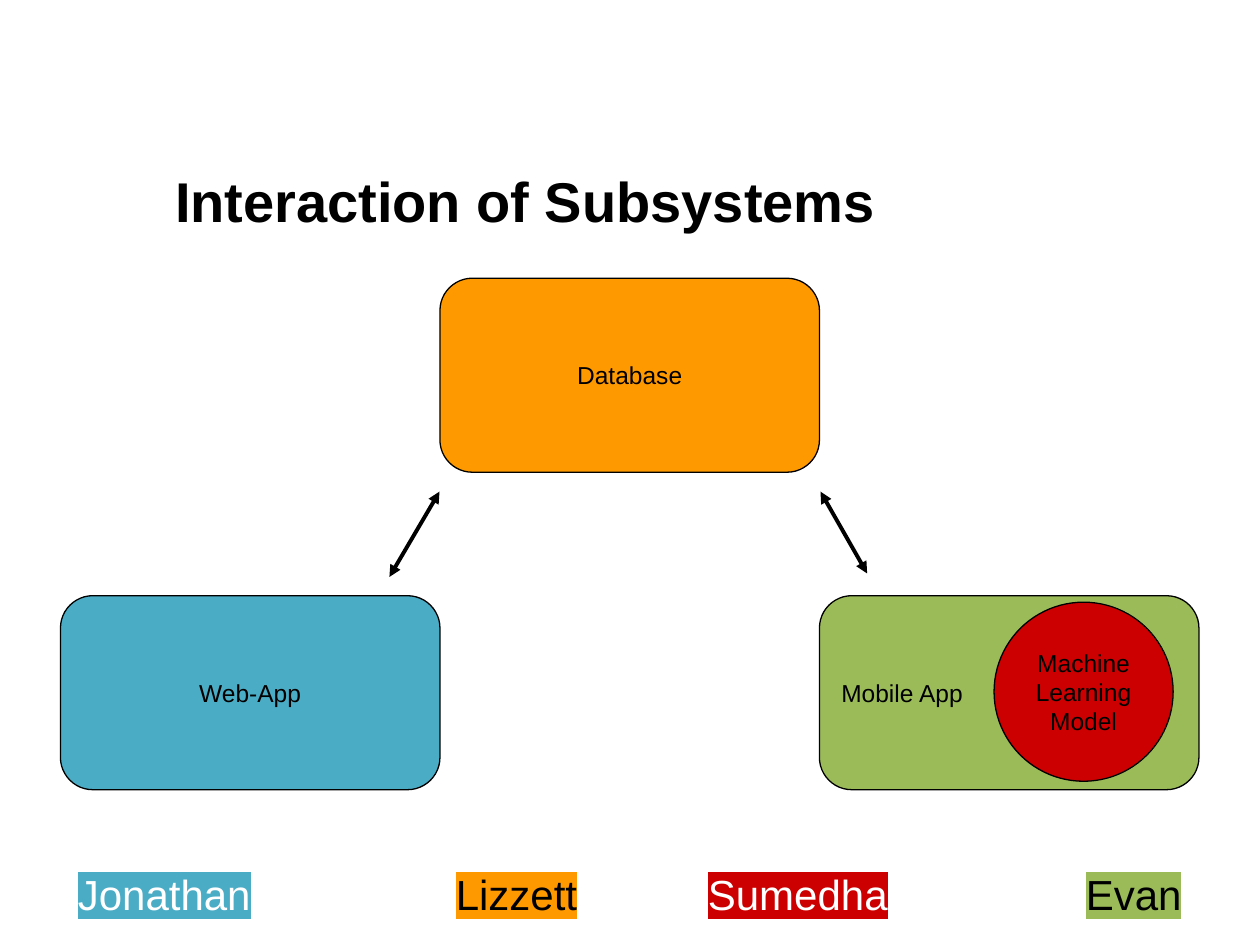
from lxml import etree
from pptx import Presentation
from pptx.dml.color import RGBColor
from pptx.enum.shapes import MSO_CONNECTOR, MSO_SHAPE
from pptx.enum.text import MSO_ANCHOR, PP_ALIGN
from pptx.oxml.ns import qn
from pptx.util import Cm, Pt

ROUNDED = MSO_SHAPE.ROUNDED_RECTANGLE
OVAL = MSO_SHAPE.OVAL
STRAIGHT = MSO_CONNECTOR.STRAIGHT
MIDDLE = MSO_ANCHOR.MIDDLE
TOP = MSO_ANCHOR.TOP
CENTER = PP_ALIGN.CENTER
LEFT = PP_ALIGN.LEFT

BLACK = RGBColor(0x00, 0x00, 0x00)
WHITE = RGBColor(0xFF, 0xFF, 0xFF)
BLUE = RGBColor(0x4B, 0xAC, 0xC6)
ORANGE = RGBColor(0xFF, 0x99, 0x00)
GREEN = RGBColor(0x9B, 0xBB, 0x59)
RED = RGBColor(0xCC, 0x00, 0x00)

MARGIN = 1.22
BOX_WIDTH, BOX_HEIGHT = 7.65, 3.91
UPPER_ROW, LOWER_ROW = 5.61, 12.01
CIRCLE_SIZE = 3.61
NAME_STOPS = (7.62, 12.7, 20.32)


def format_span(span, size, color, bold=False):
    span.font.name = "Arial"
    span.font.size = Pt(size)
    span.font.bold = bold
    span.font.color.rgb = color


def prepare_frame(frame, anchor, inset):
    frame.word_wrap = True
    frame.vertical_anchor = anchor
    frame.margin_left = frame.margin_right = Cm(0.25)
    frame.margin_top = frame.margin_bottom = Cm(inset)


def add_title(page, text):
    box = page.shapes.add_textbox(Cm(1.07), Cm(2.92), Cm(19.05), Cm(2.24))
    prepare_frame(box.text_frame, MIDDLE, 0.13)
    box.text_frame.text = text
    para = box.text_frame.paragraphs[0]
    para.alignment = CENTER
    format_span(para.runs[0], 32, BLACK, bold=True)


def add_subsystem(page, kind, text, place, size, color, alignment=CENTER):
    shape = page.shapes.add_shape(kind, *map(Cm, place + size))
    shape.shadow.inherit = False
    shape.fill.solid()
    shape.fill.fore_color.rgb = color
    shape.line.color.rgb = BLACK
    shape.line.width = Pt(0.75)
    prepare_frame(shape.text_frame, MIDDLE, 0.25)
    shape.text_frame.text = text
    para = shape.text_frame.paragraphs[0]
    para.alignment = alignment
    format_span(para.runs[0], 14, BLACK)


def add_double_arrow(page, start, end):
    arrow = page.shapes.add_connector(STRAIGHT, *map(Cm, start + end))
    arrow.line.color.rgb = BLACK
    arrow.line.width = Pt(2.25)
    line = arrow.line._get_or_add_ln()
    for tag in ("a:headEnd", "a:tailEnd"):
        etree.SubElement(line, qn(tag), type="triangle")
    etree.SubElement(arrow._element.spPr, qn("a:effectLst"))


def highlight(span, color):
    fill = span.font._element.find(qn("a:solidFill"))
    marker = etree.Element(qn("a:highlight"))
    etree.SubElement(marker, qn("a:srgbClr"), val=str(color))
    fill.addnext(marker)


def add_tab_stops(para, stops):
    tabs = etree.SubElement(para._p.get_or_add_pPr(), qn("a:tabLst"))
    for stop in stops:
        etree.SubElement(tabs, qn("a:tab"), pos=str(Cm(stop)), algn="l")


def add_names(page, names):
    box = page.shapes.add_textbox(Cm(MARGIN), Cm(17.25), Cm(3 * BOX_WIDTH), Cm(1.17))
    prepare_frame(box.text_frame, TOP, 0.25)
    para = box.text_frame.paragraphs[0]
    para.alignment = CENTER
    add_tab_stops(para, NAME_STOPS)
    for index, (name, color, background) in enumerate(names):
        if index:
            gap = para.add_run()
            gap.text = "\t"
            format_span(gap, 24, BLACK)
        span = para.add_run()
        span.text = name
        format_span(span, 24, color)
        highlight(span, background)


def main():
    deck = Presentation()
    deck.slide_width, deck.slide_height = Cm(25.4), Cm(19.05)
    page = deck.slides.add_slide(deck.slide_layouts[6])
    add_title(page, "Interaction of Subsystems")

    subsystems = [
        ("Web-App", LOWER_ROW, BLUE, CENTER),
        ("Database", UPPER_ROW, ORANGE, CENTER),
        ("Mobile App", LOWER_ROW, GREEN, LEFT),
    ]
    for column, (text, top, color, alignment) in enumerate(subsystems):
        place = (MARGIN + column * BOX_WIDTH, top)
        add_subsystem(page, ROUNDED, text, place, (BOX_WIDTH, BOX_HEIGHT), color, alignment)
    add_subsystem(page, OVAL, "Machine Learning Model", (20.04, 12.14),
                  (CIRCLE_SIZE, CIRCLE_SIZE), RED)

    add_double_arrow(page, (7.85, 11.63), (8.86, 9.91))
    add_double_arrow(page, (17.48, 11.56), (16.54, 9.91))

    add_names(page, [
        ("Jonathan", WHITE, BLUE),
        ("Lizzett", BLACK, ORANGE),
        ("Sumedha", WHITE, RED),
        ("Evan", BLACK, GREEN),
    ])
    deck.save("out.pptx")


if __name__ == "__main__":
    main()
